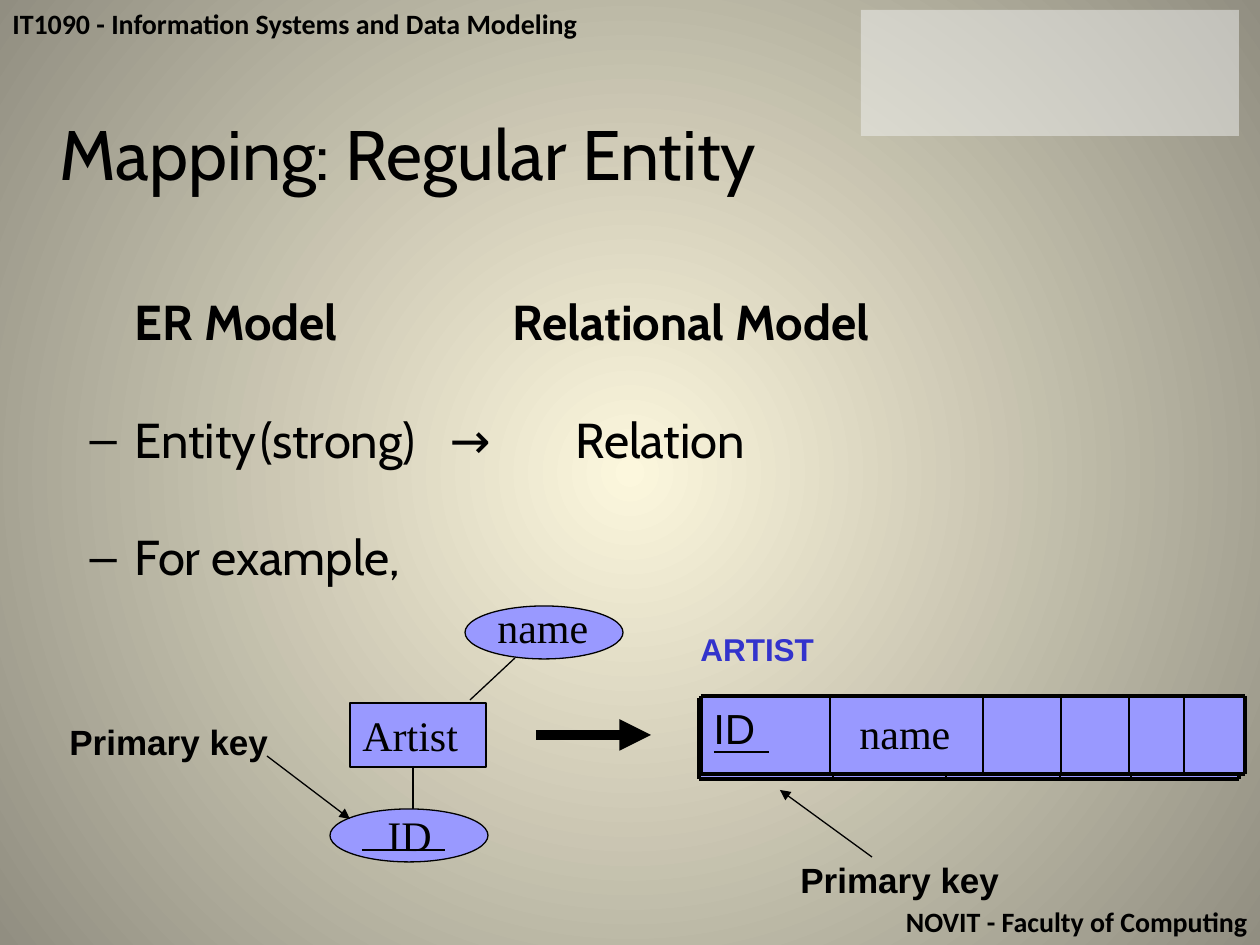
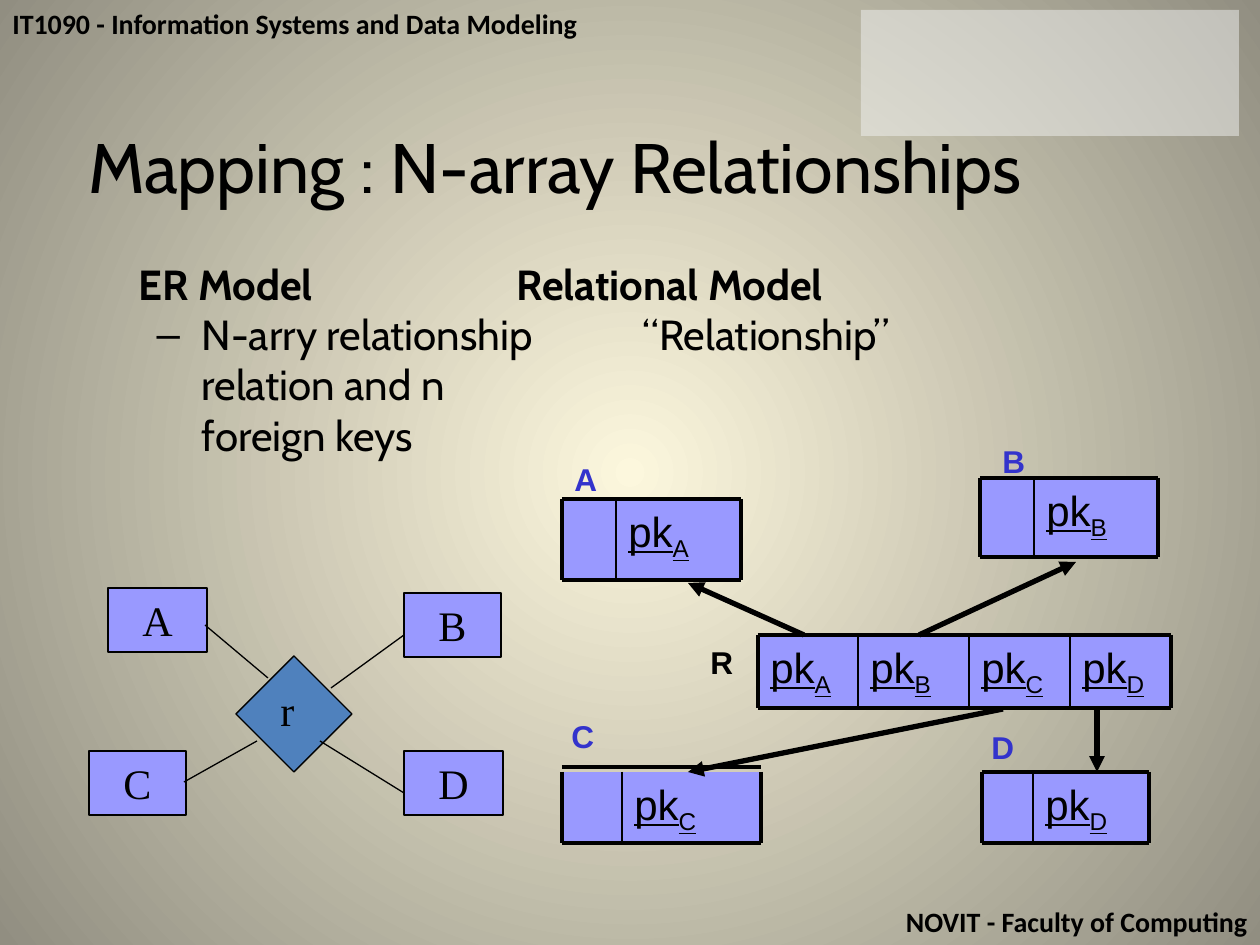
import itertools

import pptx
import pptx.dml.color
import pptx.enum.dml
import pptx.enum.shapes
import pptx.enum.text
import pptx.oxml
import pptx.oxml.ns
import pptx.util
from lxml import etree

SCALE = 914400 / 126  # EMU in one px
BLACK, LILAC, BLUE, STEEL, PALE = "000000", "9999FF", "3333CC", "4F81BD", "F2F2F2"
GLOW, EDGE = "FCF7DD", "918E81"
THIN, INNER, OUTER, BOLD_ARROW, BLOCK_ARROW = 0.75, 1, 2.25, 3, 6
SHAPE = pptx.enum.shapes.MSO_SHAPE
ALIGN = pptx.enum.text.PP_ALIGN
ANCHOR = pptx.enum.text.MSO_ANCHOR
qn = pptx.oxml.ns.qn


def px(n):
    return pptx.util.Emu(round(n * SCALE))


def rgb(hex_color):
    return pptx.dml.color.RGBColor.from_string(hex_color)


class Deck:
    sans, serif, heading, band = "Arial", "Times New Roman", "Cabin", "Calibri"

    def __init__(self):
        self.prs = pptx.Presentation()
        self.prs.slide_width, self.prs.slide_height = px(1260), px(945)
        self.slide = None
        self.glow_background()

    def glow_background(self):
        """Give the master a gradient that spreads from the centre."""
        master = self.prs.slide_master
        fill = master.background.fill
        fill.gradient()
        for stop, color, pos in zip(fill.gradient_stops, (GLOW, EDGE), (0, 1)):
            stop.color.rgb, stop.position = rgb(color), pos
        grad = next(master.element.iter(qn("a:gradFill")))
        for lin in grad.findall(qn("a:lin")):
            grad.remove(lin)
        circle = etree.SubElement(grad, qn("a:path"), {"path": "circle"})
        etree.SubElement(circle, qn("a:fillToRect"),
                         dict.fromkeys("ltrb", "50000"))

    def new_slide(self):
        """Start a slide with its bands lying behind the placeholders."""
        self.slide = self.prs.slides.add_slide(self.prs.slide_layouts[1])
        placeholders = list(self.slide.placeholders)
        self.text(0, 0, 1260, 47, "IT1090 - Information Systems and Data Modeling",
                  16, self.band, bold=True)
        self.text(0, 898, 1260, 47, "NOVIT - Faculty of Computing",
                  16, self.band, bold=True, align=ALIGN.RIGHT)
        sp = self.shape(SHAPE.RECTANGLE, 861, 10, 378, 126, PALE)
        color = next(sp.element.spPr.iter(qn("a:srgbClr")))
        etree.SubElement(color, qn("a:alpha"), val="50000")
        for sp in placeholders:
            self.slide.shapes.element.append(sp.element)

    def run(self, p, text, size, font, color=BLACK, bold=False):
        r = p.add_run()
        r.text = text
        r.font.size, r.font.name, r.font.bold = pptx.util.Pt(size), font, bold
        r.font.color.rgb = rgb(color)
        return r

    def place(self, sp, x, y, w, h):
        sp.left, sp.top, sp.width, sp.height = map(px, (x, y, w, h))

    def title(self, x, y, w, h, text):
        sp = self.slide.shapes.title
        self.place(sp, x, y, w, h)
        tf = sp.text_frame
        tf.auto_size = pptx.enum.text.MSO_AUTO_SIZE.NONE
        tf.vertical_anchor, tf.margin_top = ANCHOR.TOP, px(10)
        self.run(tf.paragraphs[0], text, 40, self.heading)

    def body(self, x, y, w, h, size, items, gap=0, top=6):
        """Fill the body: the first item is a bold heading, the rest are bullets."""
        sp = self.slide.placeholders[1]
        self.place(sp, x, y, w, h)
        tf = sp.text_frame
        tf.auto_size = pptx.enum.text.MSO_AUTO_SIZE.NONE
        tf.margin_top = px(top)
        for i, lines in enumerate(items):
            p = tf.add_paragraph() if i else tf.paragraphs[0]
            p.level = min(i, 1)
            p.space_before = pptx.util.Pt(gap if i else 0)
            pPr = p._p.get_or_add_pPr()
            pPr.set("marL", str(px(63 if i else 0)))
            pPr.set("indent", str(px(-45 if i else 0)))
            if not i:
                etree.SubElement(pPr, qn("a:buNone"))
            for n, line in enumerate(lines.split("\n")):
                if n:
                    p.add_line_break()
                self.run(p, line, size, self.heading, bold=not i)

    def text(self, x, y, w, h, text, size, font, color=BLACK, bold=False,
             align=ALIGN.LEFT, wrap=True):
        sp = self.slide.shapes.add_textbox(px(x), px(y), px(w), px(h))
        tf = sp.text_frame
        tf.word_wrap = wrap
        p = tf.paragraphs[0]
        p.alignment = align
        self.run(p, text, size, font, color, bold)

    def label(self, x, y, text, w=48, color=BLUE):
        self.text(x, y, w, 50, text, 18, self.sans, color, bold=True)

    def word(self, x, y, w, text):
        self.text(x, y, w, 63, text, 24, self.serif, wrap=False)

    def shape(self, kind, x, y, w, h, fill, line=None):
        sp = self.slide.shapes.add_shape(kind, px(x), px(y), px(w), px(h))
        sp.shadow.inherit = False
        sp.fill.solid()
        sp.fill.fore_color.rgb = rgb(fill)
        if line:
            sp.line.color.rgb, sp.line.width = rgb(BLACK), pptx.util.Pt(line)
        else:
            sp.line.fill.background()
        return sp

    def entity(self, x, y, w, text, align=ALIGN.CENTER):
        sp = self.shape(SHAPE.RECTANGLE, x, y, w, 64, LILAC, THIN)
        tf = sp.text_frame
        tf.word_wrap, tf.vertical_anchor = False, ANCHOR.MIDDLE
        tf.paragraphs[0].alignment = align
        self.run(tf.paragraphs[0], text, 24, self.serif)

    def attribute(self, x, y):
        self.shape(SHAPE.OVAL, x, y, 158, 53, LILAC, THIN)

    def line(self, x1, y1, x2, y2, width=THIN, arrow=False):
        ln = self.slide.shapes.add_connector(
            pptx.enum.shapes.MSO_CONNECTOR.STRAIGHT, *map(px, (x1, y1, x2, y2)))
        ln.line.color.rgb, ln.line.width = rgb(BLACK), pptx.util.Pt(width)
        if arrow:
            etree.SubElement(ln.line._get_or_add_ln(), qn("a:tailEnd"),
                             type="triangle")
        etree.SubElement(ln.element.spPr, qn("a:effectLst"))

    def cell(self, x, y, w, h, text):
        """Draw one column; what follows an underscore is a subscript of a key."""
        sp = self.shape(SHAPE.RECTANGLE, x, y, w, h, LILAC)
        if not text:
            return
        tf = sp.text_frame
        tf.vertical_anchor = ANCHOR.TOP
        p = tf.paragraphs[0]
        p.alignment = ALIGN.LEFT
        base, _, sub = text.partition("_")
        r = self.run(p, base, 24, self.sans)
        if sub:
            r.font.underline = True
            r = self.run(p, sub, 24, self.sans)
            r.font.underline = True
            r.font._element.set("baseline", "-25000")

    def relation(self, edges, top, bottom, names=(), rise=0):
        """Draw columns between the edges; rise lifts the top line off them."""
        left, right = edges[0], edges[-1]
        columns = zip(edges, edges[1:])
        for (a, b), name in itertools.zip_longest(columns, names):
            self.cell(a, top, b - a, bottom - top, name)
        for y in (top - rise, bottom):
            self.line(left, y, right, y, OUTER)
        for x in edges:
            self.line(x, top, x, bottom, OUTER if x in (left, right) else INNER)


def regular_entity(deck):
    deck.new_slide()
    deck.title(-31, 100, 878, 178, "Mapping: Regular Entity")
    deck.body(59, 229, 1096, 561, 28,
              ["\tER Model\t\t\tRelational Model",
               "Entity\t(strong)\t→\t\tRelation",
               "For example,"], gap=33.5, top=63)

    deck.entity(350, 703, 136, "Artist", ALIGN.LEFT)
    deck.line(413, 766, 413, 809)
    deck.attribute(330, 809)
    deck.word(375, 803, 71, "ID")
    deck.line(362, 850, 445, 850)
    deck.attribute(465, 606)
    deck.word(485, 595, 116, "name")
    deck.line(470, 700, 515, 658)
    deck.line(536, 735, 651, 735, BLOCK_ARROW, arrow=True)

    deck.relation([699, 833, 946, 1060, 1131, 1239], 698, 779)
    deck.relation([701, 830, 983, 1061, 1129, 1184, 1245], 696, 774, ["ID"])
    deck.line(714, 752, 769, 752)
    deck.word(847, 701, 117, "name")
    deck.label(688, 624, "ARTIST", w=212)

    for x, y, arrow in ((57, 714, (267, 756, 350, 819)),
                        (788, 852, (872, 857, 780, 790))):
        deck.text(x, y, 242, 54, "Primary key", 20, deck.sans, bold=True)
        deck.line(*arrow, arrow=True)


def n_array_relationships(deck):
    deck.new_slide()
    deck.title(59, 113, 992, 97, "Mapping : N-array Relationships")
    deck.body(126, 252, 1075, 590, 24,
              ["ER Model\t\t\t\tRelational Model",
               "N-arry relationship\t\t“Relationship”\nrelation and n\nforeign keys"])

    deck.relation([562, 622, 761], 772, 843, ["", "pk_C"], rise=5)
    deck.relation([562, 616, 741], 499, 580, ["", "pk_A"])
    deck.relation([980, 1034, 1158], 478, 557, ["", "pk_B"])
    deck.relation([982, 1033, 1149], 772, 843, ["", "pk_D"])
    deck.relation([758, 858, 969, 1070, 1171], 635, 708,
                  ["pk_A", "pk_B", "pk_C", "pk_D"])
    for arrow in ((804, 635, 688, 583), (919, 635, 1076, 562),
                  (1003, 709, 688, 772), (1097, 709, 1097, 772)):
        deck.line(*arrow, BOLD_ARROW, arrow=True)
    for x, y, name in ((562, 454, "A"), (990, 436, "B"),
                       (559, 711, "C"), (979, 722, "D")):
        deck.label(x, y, name)
    deck.label(698, 637, "R", color=BLACK)

    for x, y, w, name in ((108, 588, 99, "A"), (89, 751, 97, "C"),
                          (404, 593, 97, "B"), (404, 751, 99, "D")):
        deck.entity(x, y, w, name)
    deck.shape(SHAPE.DIAMOND, 236, 656, 116, 116, STEEL, THIN)
    deck.word(268, 678, 39, "r")
    for link in ((205, 625, 268, 678), (184, 782, 257, 741),
                 (331, 688, 404, 635), (320, 741, 404, 793)):
        deck.line(*link)


def main():
    deck = Deck()
    regular_entity(deck)
    n_array_relationships(deck)
    deck.prs.save("out.pptx")


if __name__ == "__main__":
    main()
